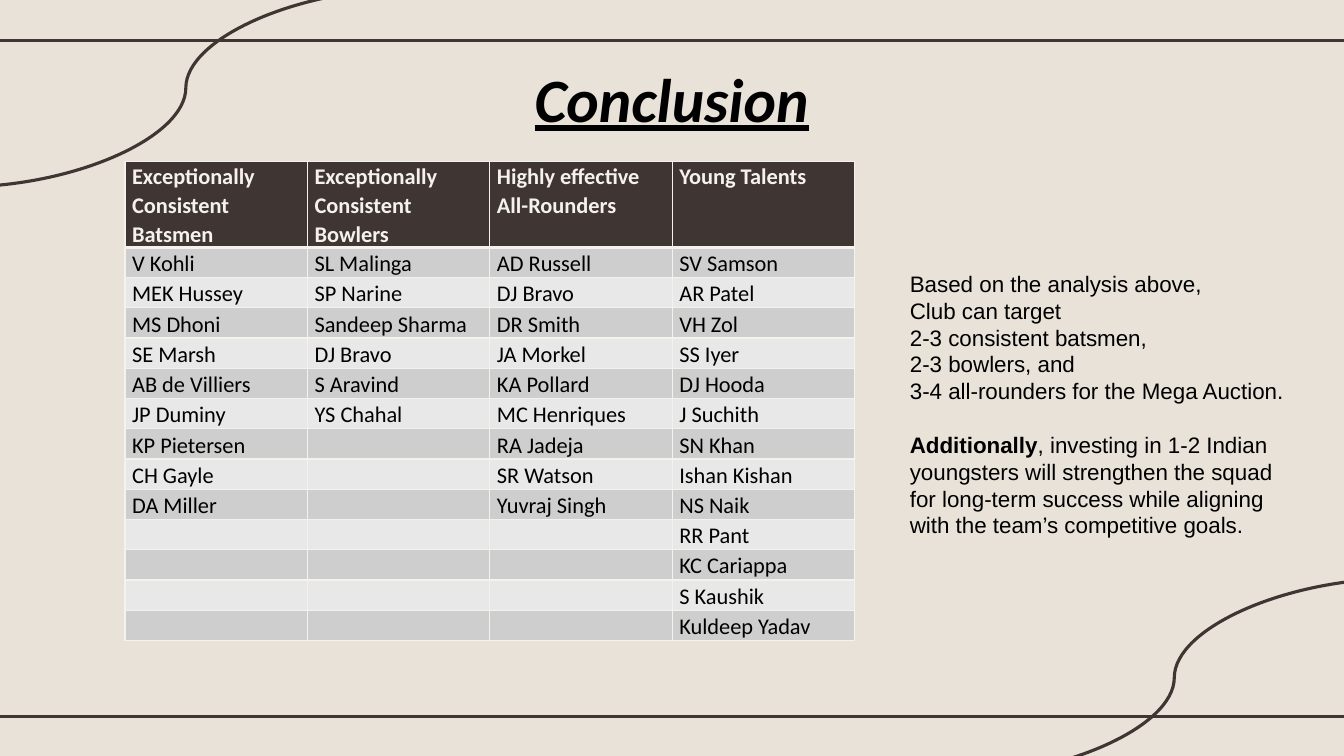
from lxml import etree
from pptx import Presentation
from pptx import util as u
from pptx.dml.color import RGBColor
from pptx.enum import shapes, text
from pptx.oxml.ns import qn

COLORS = {
    "background": "E8E2D9",
    "line": "3F3533",
    "header": "3F3533",
    "border": "F5F2EE",
    "odd_row": "CFCECE",
    "even_row": "E8E8E8",
    "text": "000000",
}

HEADERS = [
    "Exceptionally Consistent Batsmen",
    "Exceptionally Consistent Bowlers",
    "Highly effective All-Rounders",
    "Young Talents",
]
PLAYERS = [
    ["V Kohli", "MEK Hussey", "MS Dhoni", "SE Marsh", "AB de Villiers",
     "JP Duminy", "KP Pietersen", "CH Gayle", "DA Miller"],
    ["SL Malinga", "SP Narine", "Sandeep Sharma", "DJ Bravo", "S Aravind",
     "YS Chahal"],
    ["AD Russell", "DJ Bravo", "DR Smith", "JA Morkel", "KA Pollard",
     "MC Henriques", "RA Jadeja", "SR Watson", "Yuvraj Singh"],
    ["SV Samson", "AR Patel", "VH Zol", "SS Iyer", "DJ Hooda", "J Suchith",
     "SN Khan", "Ishan Kishan", "NS Naik", "RR Pant", "KC Cariappa",
     "S Kaushik", "Kuldeep Yadav"],
]
ADVICE = [
    "Based on the analysis above,",
    "Club can target",
    "2-3 consistent batsmen,",
    "2-3 bowlers, and",
    "3-4 all-rounders for the Mega Auction.",
]
OUTLOOK = (", investing in 1-2 Indian youngsters will strengthen the squad for "
           "long-term success while aligning with the team’s competitive goals.")


def color(name):
    return RGBColor.from_string(COLORS[name])


def add_run(paragraph, wording, size, font, color_name="text", bold=False):
    run = paragraph.add_run()
    run.text = wording
    run.font.size = u.Pt(size)
    run.font.name = font
    run.font.bold = bold
    run.font.color.rgb = color(color_name)
    return run


def add_text_box(slide, left, top, width, height):
    shape = slide.shapes.add_textbox(u.Cm(left), u.Cm(top), u.Cm(width), u.Cm(height))
    shape.text_frame.word_wrap = True
    return shape.text_frame


def add_line(slide, kind, left, top, right, bottom):
    connector = slide.shapes.add_connector(
        kind, u.Cm(left), u.Cm(top), u.Cm(right), u.Cm(bottom))
    connector.line.color.rgb = color("line")
    connector.line.width = u.Pt(2.25)
    etree.SubElement(connector._element.spPr, qn("a:effectLst"))


def add_decoration(slide, left, top, width, height):
    right, bottom = left + width, top + height
    straight, curve = shapes.MSO_CONNECTOR.STRAIGHT, shapes.MSO_CONNECTOR.CURVE
    for y in (top + 1.02, bottom - 0.99):
        add_line(slide, straight, left - 0.28, y, right + 0.28, y)
    for x, y in ((left - 0.96, top - 0.28), (right - 9.92, bottom - 4.47)):
        add_line(slide, curve, x + 11.29, y, x, y + 4.99)


def add_title(slide, left, top, width, height):
    paragraph = add_text_box(slide, left, top, width, height).paragraphs[0]
    paragraph.alignment = text.PP_ALIGN.CENTER
    run = add_run(paragraph, "Conclusion", 44, "Calibri", bold=True)
    run.font.italic = True
    run.font.underline = True


def set_borders(cell, top_width, bottom_width):
    properties = cell._tc.get_or_add_tcPr()
    for side, width in (("L", 1), ("R", 1), ("T", top_width), ("B", bottom_width)):
        line = etree.SubElement(properties, qn("a:ln" + side), w=str(u.Pt(width)))
        fill = etree.SubElement(line, qn("a:solidFill"))
        etree.SubElement(fill, qn("a:srgbClr"), val=COLORS["border"])


def fill_cell(cell, wording, row):
    is_header = row == 0
    set_borders(cell, 3 if row == 1 else 1, 3 if is_header else 1)
    cell.fill.solid()
    row_color = "odd_row" if row % 2 else "even_row"
    cell.fill.fore_color.rgb = color("header" if is_header else row_color)
    cell.margin_left = cell.margin_right = u.Cm(0.18)
    cell.margin_top = cell.margin_bottom = 0
    cell.vertical_anchor = text.MSO_ANCHOR.TOP if is_header else text.MSO_ANCHOR.BOTTOM
    paragraph = cell.text_frame.paragraphs[0]
    paragraph.line_spacing = 1.07
    paragraph.space_after = u.Pt(8)
    if wording:
        add_run(paragraph, wording, 16, "Calibri",
                "border" if is_header else "text", is_header)
    else:
        etree.SubElement(paragraph._p, qn("a:endParaRPr"), sz="1600")


def add_player_table(slide, left, top, width, height):
    row_count = 1 + max(len(names) for names in PLAYERS)
    table = slide.shapes.add_table(
        row_count, len(HEADERS), u.Cm(left), u.Cm(top), u.Cm(width), u.Cm(height)).table
    header_height = 2.13
    for row, table_row in enumerate(table.rows):
        body_height = (height - header_height) / (row_count - 1)
        table_row.height = u.Cm(body_height if row else header_height)
    for column, (header, names) in enumerate(zip(HEADERS, PLAYERS)):
        table.columns[column].width = u.Cm(width / len(HEADERS))
        wordings = [header] + names
        for row in range(row_count):
            wording = wordings[row] if row < len(wordings) else ""
            fill_cell(table.cell(row, column), wording, row)


def add_advice(slide, left, top, width, height):
    frame = add_text_box(slide, left, top, width, height)
    for index, wording in enumerate(ADVICE):
        paragraph = frame.add_paragraph() if index else frame.paragraphs[0]
        add_run(paragraph, wording, 16, "Arial")
    paragraph = frame.add_paragraph()
    paragraph.space_before = u.Pt(19)
    add_run(paragraph, "Additionally", 16, "Arial", bold=True)
    add_run(paragraph, OUTLOOK, 16, "Arial")


def main():
    presentation = Presentation()
    presentation.slide_width = u.Cm(33.87)
    presentation.slide_height = u.Cm(19.05)
    slide = presentation.slides.add_slide(presentation.slide_layouts[6])
    slide.background.fill.solid()
    slide.background.fill.fore_color.rgb = color("background")
    add_decoration(slide, 0, 0, 33.87, 19.05)
    add_title(slide, 9.5, 1.4, 14.86, 2.13)
    add_player_table(slide, 3.15, 4.06, 18.39, 12.04)
    add_advice(slide, 22.68, 6.68, 10.16, 7.09)
    presentation.save("out.pptx")


if __name__ == "__main__":
    main()
